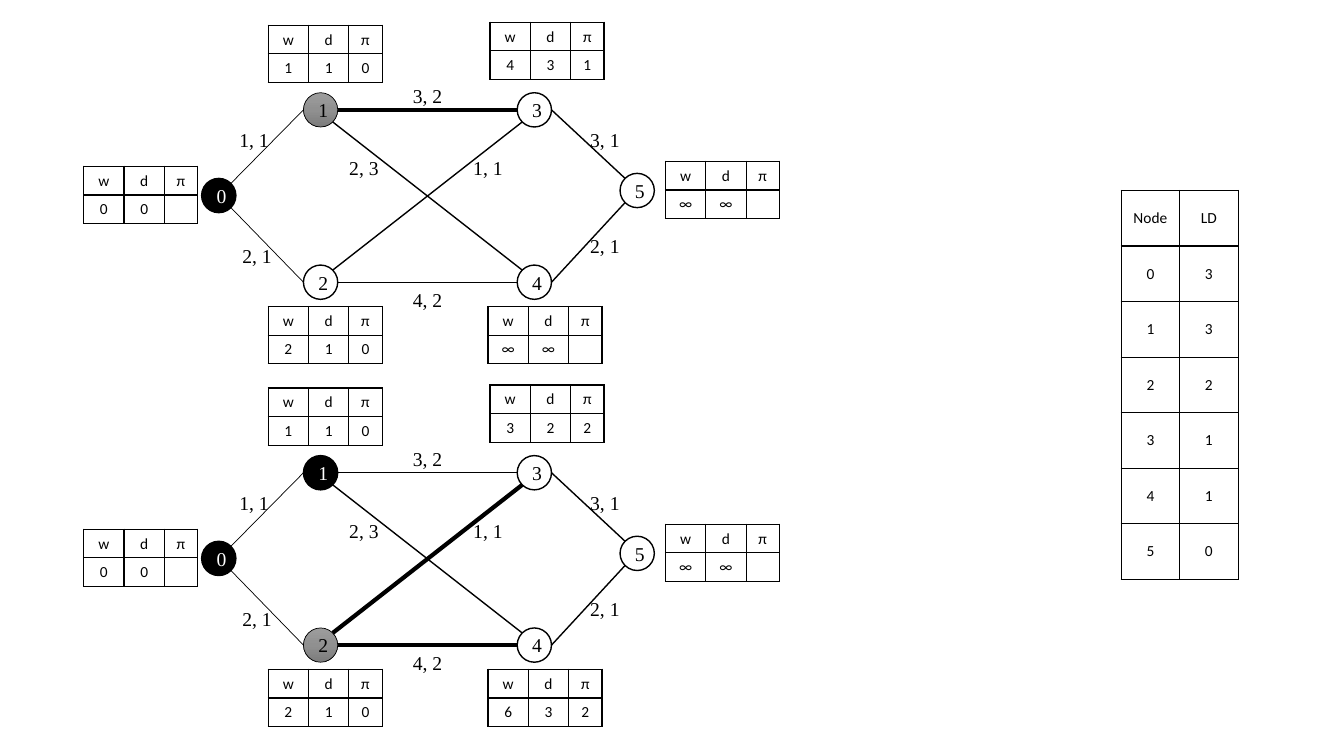
from copy import deepcopy
from dataclasses import dataclass
from math import cos, radians, sin

from lxml import etree
from pptx import Presentation
from pptx.dml.color import RGBColor
from pptx.enum.shapes import MSO_CONNECTOR, MSO_SHAPE
from pptx.enum.text import MSO_ANCHOR, MSO_AUTO_SIZE, PP_ALIGN
from pptx.oxml.ns import qn
from pptx.util import Inches, Pt

LINE, OVAL = MSO_CONNECTOR.STRAIGHT, MSO_SHAPE.OVAL
CENTER, MIDDLE = PP_ALIGN.CENTER, MSO_ANCHOR.MIDDLE
FIT_SHAPE = MSO_AUTO_SIZE.SHAPE_TO_FIT_TEXT

COLORS = {"black": "000000", "white": "FFFFFF"}
GRAYS = ("9D9D9D", "909090", "7C7C7C")
SERIF, SANS = "Times New Roman", "Calibri"
RADIUS = 0.17
THIN, NORMAL, BOLD = 0.5, 1, 3
GRAPH_STEP = 3.6
LABEL_W, LABEL_H = 0.64, 0.34


@dataclass
class Node:
    x: float
    y: float
    table_left: float
    table_top: float

    def rim(self, angle: float) -> tuple[float, float]:
        a = radians(angle)
        return self.x + RADIUS * cos(a), self.y + RADIUS * sin(a)


@dataclass
class Edge:
    start: int
    start_angle: float
    end: int
    end_angle: float
    width: float
    label: str
    label_left: float
    label_top: float


@dataclass
class Search:
    visited: set[int]
    current: int
    relaxed: set[tuple[int, int]]
    states: list[str]


NODES = [
    Node(2.17, 1.94, 0.83, 1.65),
    Node(3.18, 1.09, 2.66, 0.25),
    Node(3.18, 2.8, 2.66, 3.04),
    Node(5.3, 1.09, 4.86, 0.22),
    Node(5.3, 2.8, 4.84, 3.04),
    Node(6.32, 1.89, 6.6, 1.6),
]
EDGES = [
    Edge(0, -45, 1, 180, THIN, "1, 1", 2.2, 1.22),
    Edge(0, 45, 2, 180, THIN, "2, 1", 2.23, 2.37),
    Edge(1, 0, 3, 180, THIN, "3, 2", 3.92, 0.78),
    Edge(2, 0, 4, 180, NORMAL, "4, 2", 3.92, 2.81),
    Edge(1, 45, 4, 225, NORMAL, "2, 3", 3.29, 1.5),
    Edge(2, -45, 3, 135, NORMAL, "1, 1", 4.52, 1.5),
    Edge(3, 0, 5, 225, NORMAL, "3, 1", 5.68, 1.22),
    Edge(4, 0, 5, 135, NORMAL, "2, 1", 5.68, 2.27),
]
SEARCHES = [
    Search({0}, 1, {(1, 3)}, ["00", "110", "210", "431", "∞∞", "∞∞"]),
    Search({0, 1}, 2, {(2, 3), (2, 4)}, ["00", "110", "210", "322", "632", "∞∞"]),
]
LD_ROWS = [("Node", "LD"), ("0", "3"), ("1", "3"), ("2", "2"), ("3", "1"), ("4", "1"), ("5", "0")]


def rgb(name: str) -> RGBColor:
    return RGBColor.from_string(COLORS[name])


def write(tf, text: str, *, size: float = 14, font: str = SERIF, color: str = "black") -> None:
    p = tf.paragraphs[0]
    p.alignment = CENTER
    if not text:
        etree.SubElement(p._p, qn("a:endParaRPr"), sz=str(size * 100))
        return
    r = p.add_run()
    r.text = text
    r.font.size = Pt(size)
    r.font.name = font
    r.font.color.rgb = rgb(color)


def border_cell(cell) -> None:
    tc_pr = cell._tc.get_or_add_tcPr()
    for side in ("lnL", "lnR", "lnT", "lnB"):
        ln = etree.SubElement(tc_pr, qn(f"a:{side}"), w=str(Pt(1)))
        fill = etree.SubElement(ln, qn("a:solidFill"))
        etree.SubElement(fill, qn("a:srgbClr"), val=COLORS["black"])


def add_grid(s, left: float, top: float, widths: list[float], row_height: float, rows: list) -> None:
    frame = s.shapes.add_table(len(rows), len(widths), Inches(left), Inches(top),
                               Inches(sum(widths)), Inches(row_height * len(rows)))
    table = frame.table
    table.first_row = table.horz_banding = False
    for column, width in zip(table.columns, widths):
        column.width = Inches(width)
    for i, row in enumerate(rows):
        table.rows[i].height = Inches(row_height)
        for j, text in enumerate(row):
            cell = table.cell(i, j)
            cell.vertical_anchor = MIDDLE
            border_cell(cell)
            cell.fill.background()
            write(cell.text_frame, text, size=11, font=SANS)


def fill_gray(sp) -> None:
    sp.fill.gradient()
    sp.fill.gradient_angle = 270
    stops = sp._element.spPr.find(".//" + qn("a:gsLst"))
    stops.insert(1, deepcopy(stops[0]))
    for i, (stop, gray) in enumerate(zip(sp.fill.gradient_stops, GRAYS)):
        stop.position = i / 2
        stop.color.rgb = RGBColor.from_string(gray)


def add_node(shapes, number: int, dy: float, search: Search) -> None:
    node = NODES[number]
    sp = shapes.add_shape(OVAL, Inches(node.x - RADIUS), Inches(node.y - RADIUS + dy),
                          Inches(2 * RADIUS), Inches(2 * RADIUS))
    sp.shadow.inherit = False
    visited, current = number in search.visited, number == search.current
    if current:
        fill_gray(sp)
    else:
        sp.fill.solid()
        sp.fill.fore_color.rgb = rgb("black" if visited else "white")
    sp.line.color.rgb = rgb("black")
    sp.line.width = Pt(THIN if current else NORMAL)
    sp.text_frame.vertical_anchor = MIDDLE
    write(sp.text_frame, str(number), color="white" if visited else "black")


def add_edge(shapes, edge: Edge, dy: float, search: Search) -> None:
    x1, y1 = NODES[edge.start].rim(edge.start_angle)
    x2, y2 = NODES[edge.end].rim(edge.end_angle)
    line = shapes.add_connector(LINE, Inches(x1), Inches(y1 + dy), Inches(x2), Inches(y2 + dy))
    line.line.color.rgb = rgb("black")
    line.line.width = Pt(BOLD if (edge.start, edge.end) in search.relaxed else edge.width)
    etree.SubElement(line._element.spPr, qn("a:effectLst"))


def add_label(shapes, edge: Edge, dy: float) -> None:
    box = shapes.add_textbox(Inches(edge.label_left), Inches(edge.label_top + dy),
                             Inches(LABEL_W), Inches(LABEL_H))
    tf = box.text_frame
    tf.word_wrap = True
    tf.auto_size = FIT_SHAPE
    write(tf, edge.label)


def add_search(s, search: Search, dy: float) -> None:
    shapes = s.shapes.add_group_shape().shapes
    for number in range(len(NODES)):
        add_node(shapes, number, dy, search)
    for edge in EDGES:
        add_edge(shapes, edge, dy, search)
    for edge in EDGES:
        add_label(shapes, edge, dy)
    for node, state in zip(NODES, search.states):
        values = [*state, ""][:3]
        add_grid(s, node.table_left, node.table_top + dy, [0.4, 0.4, 0.33], 0.57 / 2, ["wdπ", values])


prs = Presentation()
prs.slide_width, prs.slide_height = Inches(13.33), Inches(7.5)
s = prs.slides.add_slide(prs.slide_layouts[6])
add_grid(s, 11.12, 1.89, [0.58, 0.58], 3.86 / 7, LD_ROWS)
for i, search in enumerate(SEARCHES):
    add_search(s, search, i * GRAPH_STEP)
prs.save("out.pptx")
